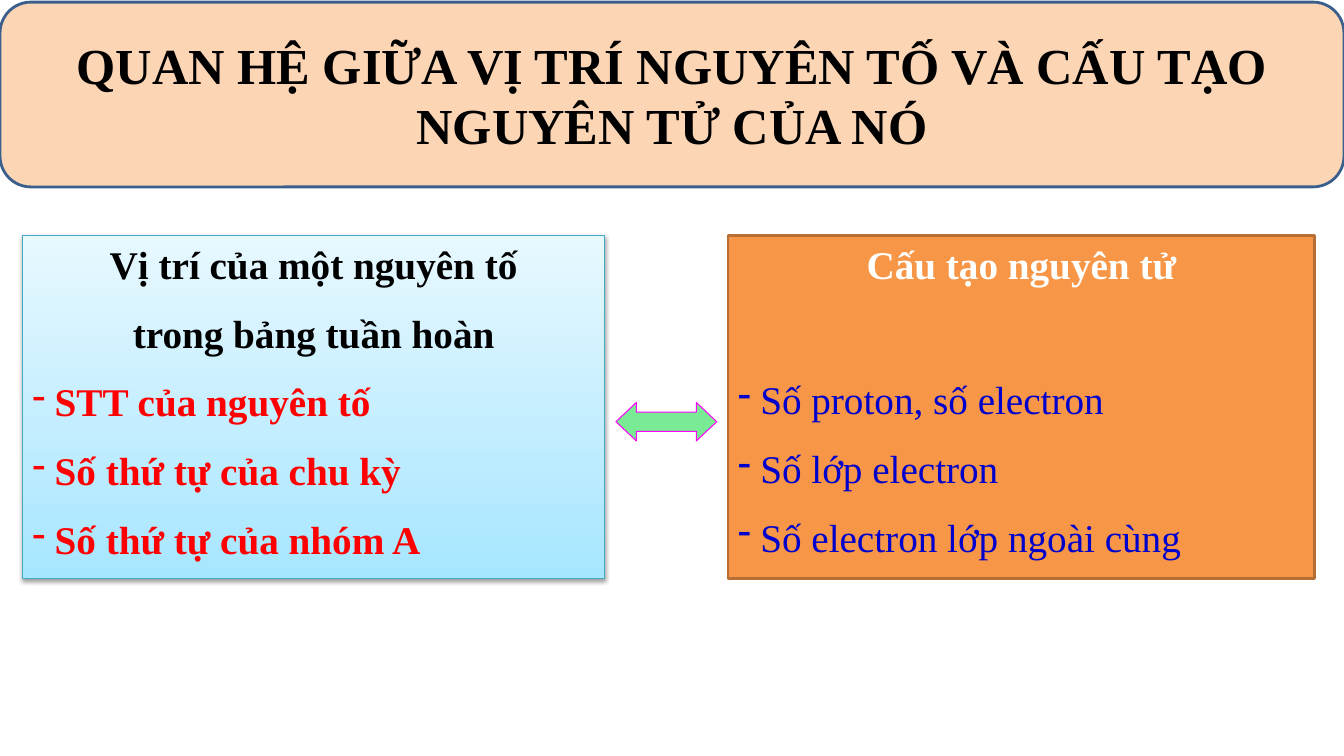
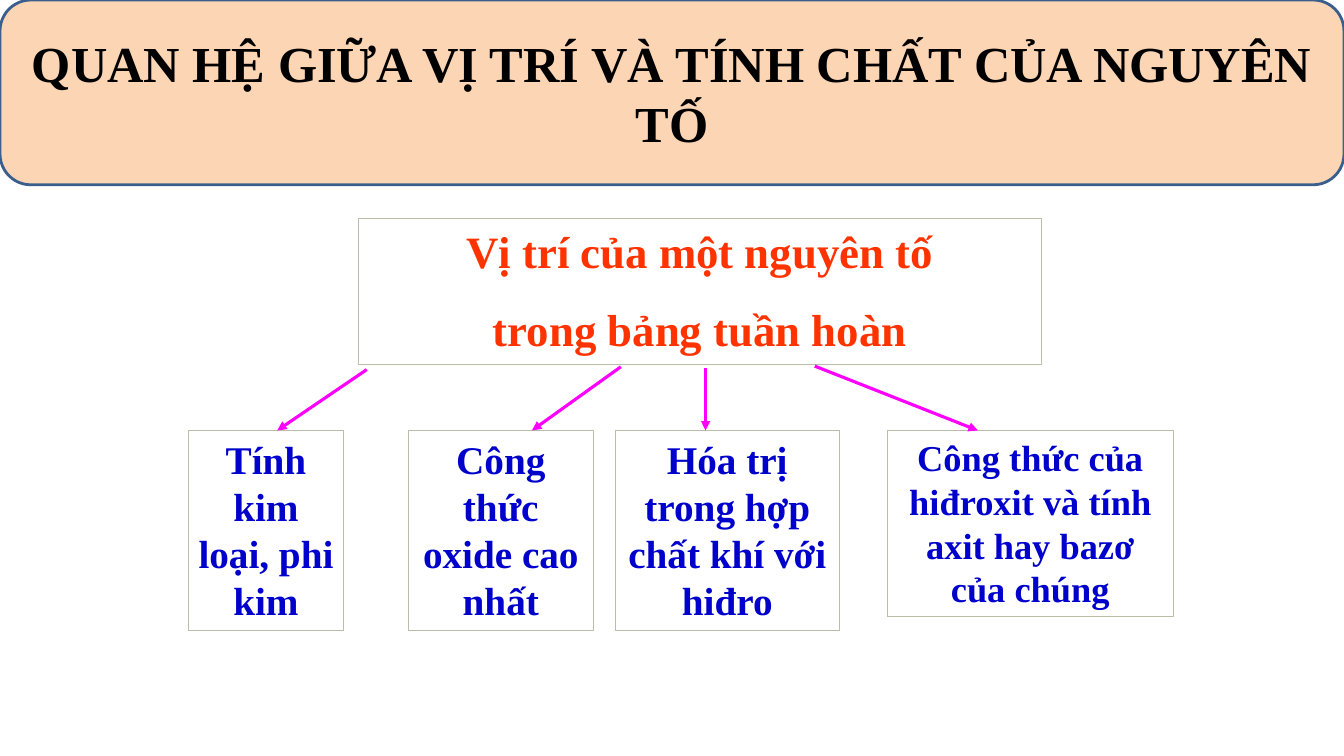
from lxml import etree
from pptx import Presentation
from pptx.dml.color import RGBColor
from pptx.enum.shapes import MSO_CONNECTOR, MSO_SHAPE
from pptx.enum.text import MSO_ANCHOR, PP_ALIGN
from pptx.oxml.ns import qn
from pptx.util import Pt

ROUNDED, RECT = MSO_SHAPE.ROUNDED_RECTANGLE, MSO_SHAPE.RECTANGLE
DOUBLE_ARROW, STRAIGHT = MSO_SHAPE.LEFT_RIGHT_ARROW, MSO_CONNECTOR.STRAIGHT
CENTER, LEFT = PP_ALIGN.CENTER, PP_ALIGN.LEFT
TOP, MIDDLE = MSO_ANCHOR.TOP, MSO_ANCHOR.MIDDLE

FONT = "Times New Roman"
BLACK = RGBColor(0x00, 0x00, 0x00)
WHITE = RGBColor(0xFF, 0xFF, 0xFF)
RED = RGBColor(0xFF, 0x00, 0x00)
BLUE = RGBColor(0x00, 0x00, 0xCC)
VERMILION = RGBColor(0xFF, 0x33, 0x00)
MAGENTA = RGBColor(0xFF, 0x00, 0xFF)
GREEN = RGBColor(0x79, 0xEB, 0x94)
PEACH = RGBColor(0xFC, 0xD5, 0xB5)
NAVY = RGBColor(0x3A, 0x5F, 0x8C)
SKY = RGBColor(0xA7, 0xE6, 0xFF)
PALE_SKY = RGBColor(0xE7, 0xF8, 0xFF)
TEAL = RGBColor(0x46, 0xAA, 0xC5)
ORANGE = RGBColor(0xF7, 0x96, 0x46)
BROWN = RGBColor(0xB7, 0x6F, 0x34)
SAGE = RGBColor(0xBA, 0xBD, 0xA7)

POSITION_LINES = ["Vị trí của một nguyên tố", "trong bảng tuần hoàn"]


def add_box(slide, kind, bounds, fill, line, weight, anchor=TOP):
    box = slide.shapes.add_shape(kind, *[Pt(v) for v in bounds])
    box.shadow.inherit = False
    if fill is None:
        box.fill.background()
    else:
        box.fill.solid()
        box.fill.fore_color.rgb = fill
    box.line.color.rgb = line
    box.line.width = Pt(weight)
    box.text_frame.word_wrap = True
    box.text_frame.vertical_anchor = anchor
    return box


def add_lines(box, lines, size, color, bold=True, bullet=False, gap=0, first_gap=None):
    """Append paragraphs; first_gap replaces the gap above the first of them."""
    frame = box.text_frame
    for i, line in enumerate(lines):
        fresh = not frame.text
        paragraph = frame.paragraphs[0] if fresh else frame.add_paragraph()
        paragraph.text = line
        paragraph.alignment = LEFT if bullet else CENTER
        if not fresh:
            paragraph.space_before = Pt(first_gap if i == 0 and first_gap else gap)
        if bullet:
            props = paragraph._p.get_or_add_pPr()
            props.set("marL", str(Pt(16)))
            props.set("indent", str(-Pt(16)))
            etree.SubElement(props, qn("a:buChar"), char="-")
        paragraph.font.name = FONT
        paragraph.font.size = Pt(size)
        paragraph.font.bold = bold
        paragraph.font.color.rgb = color


prs = Presentation()
prs.slide_width, prs.slide_height = Pt(960), Pt(540)

# Slides with their title bands
slides = []
for title, band_top in [
    ("QUAN HỆ GIỮA VỊ TRÍ NGUYÊN TỐ VÀ CẤU TẠO NGUYÊN TỬ CỦA NÓ", 1.5),
    ("QUAN HỆ GIỮA VỊ TRÍ VÀ TÍNH CHẤT CỦA NGUYÊN TỐ", 0),
]:
    slide = prs.slides.add_slide(prs.slide_layouts[6])
    band = add_box(slide, ROUNDED, (0, band_top, 960, 132), PEACH, NAVY, 2, MIDDLE)
    add_lines(band, [title], 36, BLACK)
    slides.append(slide)
structure_slide, property_slide = slides

# Slide 1: position in the table, with gradient and soft shadow
PANEL_TOP, PANEL_HEIGHT, PANEL_GAP = 168, 245, 15.5
position = add_box(structure_slide, RECT, (16, PANEL_TOP, 416, PANEL_HEIGHT), SKY, TEAL, 0.75)
position.fill.gradient()
position.fill.gradient_angle = 90
for stop, color in zip(position.fill.gradient_stops, (SKY, PALE_SKY)):
    stop.color.rgb = color
effects = position._element.spPr.find(qn("a:effectLst"))
shadow = etree.SubElement(effects, qn("a:outerShdw"), blurRad=str(Pt(3.1)),
                          dist=str(Pt(1.6)), dir="5400000", rotWithShape="0")
shadow_color = etree.SubElement(shadow, qn("a:srgbClr"), val="000000")
etree.SubElement(shadow_color, qn("a:alpha"), val="38000")
add_lines(position, POSITION_LINES, 28, BLACK, gap=PANEL_GAP)
add_lines(position, ["STT của nguyên tố", "Số thứ tự của chu kỳ", "Số thứ tự của nhóm A"],
          28, RED, bullet=True, gap=PANEL_GAP)

# Slide 1: atomic structure, its list level with the one on the left
structure = add_box(structure_slide, RECT, (520, PANEL_TOP, 419, PANEL_HEIGHT), ORANGE, BROWN, 2)
add_lines(structure, ["Cấu tạo nguyên tử"], 28, WHITE)
add_lines(structure, ["Số proton, số electron", "Số lớp electron", "Số electron lớp ngoài cùng"],
          28, BLUE, bold=False, bullet=True, gap=PANEL_GAP, first_gap=63)

# Slide 1: two-way arrow
relation = add_box(structure_slide, DOUBLE_ARROW, (440, 287.5, 72, 27.5), GREEN, MAGENTA, 0.75)
relation.adjustments[0], relation.adjustments[1] = 0.5, 0.53

# Slide 2: position and the properties that follow from it
source = add_box(property_slide, RECT, (256, 156, 488, 104.5), None, SAGE, 0.75)
add_lines(source, POSITION_LINES, 32, VERMILION, gap=17.5)

BRANCH_TOP = 307.5
for text, left, width, height, size, arrow_from, arrow_to in [
    ("Tính kim loại, phi kim", 134.5, 111, 143, 28, (262, 264), 198),
    ("Công thức oxide cao nhất", 291.5, 132.5, 143, 28, (443.5, 262), 380),
    ("Hóa trị trong hợp chất khí với hiđro", 439.5, 160, 143, 28, (504, 263), 504),
    ("Công thức của hiđroxit và tính axit hay bazơ của chúng",
     634, 204, 133, 26, (582, 261.5), 698.5),
]:
    branch = add_box(property_slide, RECT, (left, BRANCH_TOP, width, height), None, SAGE, 0.75)
    add_lines(branch, [text], size, BLUE)
    arrow = property_slide.shapes.add_connector(
        STRAIGHT, *[Pt(v) for v in (*arrow_from, arrow_to, BRANCH_TOP)])
    arrow.line.color.rgb = MAGENTA
    arrow.line.width = Pt(2.25)
    etree.SubElement(arrow.line._get_or_add_ln(), qn("a:tailEnd"), type="triangle")
    etree.SubElement(arrow._element.spPr, qn("a:effectLst"))

prs.save("out.pptx")
